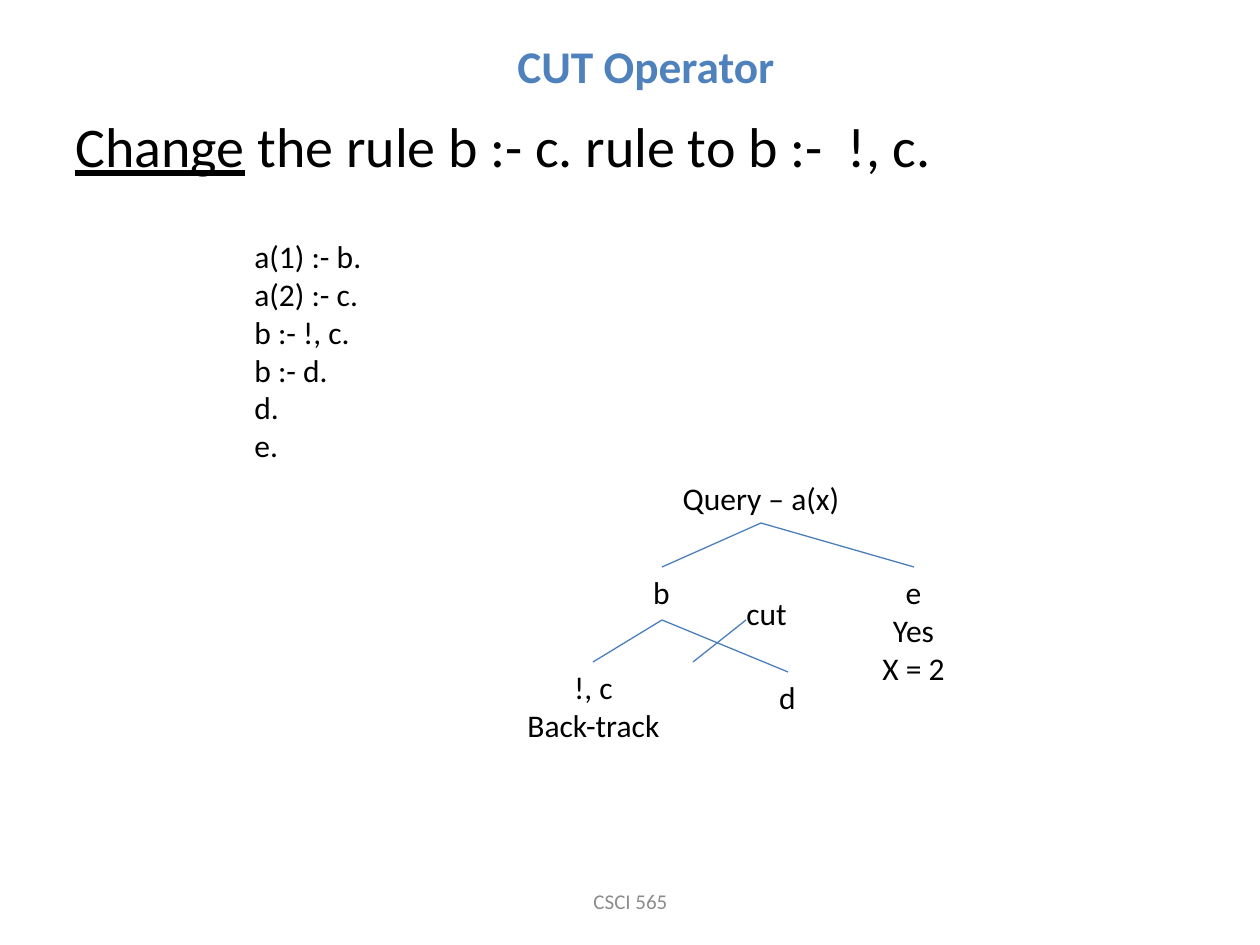
"""Build the CUT Operator slide: a Prolog program and its search tree."""
import pptx
import pptx.dml.color
import pptx.enum.shapes
import pptx.enum.text
import pptx.util
import lxml.etree

PX = 914400 / 126
ALIGN = pptx.enum.text.PP_ALIGN
ANCHOR = pptx.enum.text.MSO_ANCHOR


def color(hex_code):
    return pptx.dml.color.RGBColor.from_string(hex_code)


def write(shape, box, lines, size, align=ALIGN.CENTER, ink="000000", anchor=ANCHOR.TOP):
    shape.left, shape.top, shape.width, shape.height = [round(v * PX) for v in box]
    frame = shape.text_frame
    frame.word_wrap = True
    frame.auto_size = pptx.enum.text.MSO_AUTO_SIZE.NONE
    frame.vertical_anchor = anchor
    for index, line in enumerate(lines):
        paragraph = frame.add_paragraph() if index else frame.paragraphs[0]
        paragraph.alignment = align
        for text, underlined in line if isinstance(line, list) else [(line, False)]:
            run = paragraph.add_run()
            run.text = text
            run.font.name = "Calibri"
            run.font.size = pptx.util.Pt(size)
            run.font.color.rgb = color(ink)
            run.font.underline = underlined


deck = pptx.Presentation()
deck.slide_width = pptx.util.Inches(10)
deck.slide_height = pptx.util.Inches(7.5)
slide = deck.slides.add_slide(deck.slide_layouts[5])

heading = slide.shapes.title
write(heading, (84, 32, 1124, 63), ["CUT Operator"], 25.9, ink="4F81BD")
heading.text_frame.paragraphs[0].runs[0].font.bold = True

change = [("Change", True), (" the rule b :- c. rule to b :-  !, c.", False)]
program = ["a(1) :- b.", "a(2) :- c.", "b :- !, c.", "b :- d.", "d.", "e."]
for box, lines, size in [
    ((63, 105, 1134, 80), [change], 32),
    ((242, 231, 147, 280), program, 18),
]:
    write(slide.shapes.add_textbox(0, 0, 0, 0), box, lines, size, ALIGN.LEFT)

footer = slide.shapes.add_textbox(0, 0, 0, 0)
write(footer, (431, 876, 399, 50), ["CSCI 565"], 12, ink="8C8C8C", anchor=ANCHOR.MIDDLE)

tree_nodes = [
    ((630, 473, 262, 50), ["Query – a(x)"]),
    ((588, 567, 147, 53), ["b"]),
    ((840, 567, 147, 165), ["e", "Yes", "X = 2"]),
    ((504, 662, 179, 89), ["!, c", "Back-track"]),
    ((714, 672, 147, 50), ["d"]),
    ((693, 588, 147, 50), ["cut"]),
]
for box, lines in tree_nodes:
    write(slide.shapes.add_textbox(0, 0, 0, 0), box, lines, 18)

query, goal_b = (761, 523), (662, 620)
branches = [
    (query, (662, 567)),
    (query, (914, 567)),
    (goal_b, (593, 662)),
    (goal_b, (788, 672)),
    ((693, 662), (746, 620)),
]
for start, end in branches:
    branch = slide.shapes.add_connector(
        pptx.enum.shapes.MSO_CONNECTOR.STRAIGHT, *[round(v * PX) for v in start + end]
    )
    branch.line.color.rgb = color("4B7EBC")
    branch.line.width = pptx.util.Pt(0.75)
    lxml.etree.SubElement(branch._element.spPr, pptx.oxml.ns.qn("a:effectLst"))

deck.save("out.pptx")
